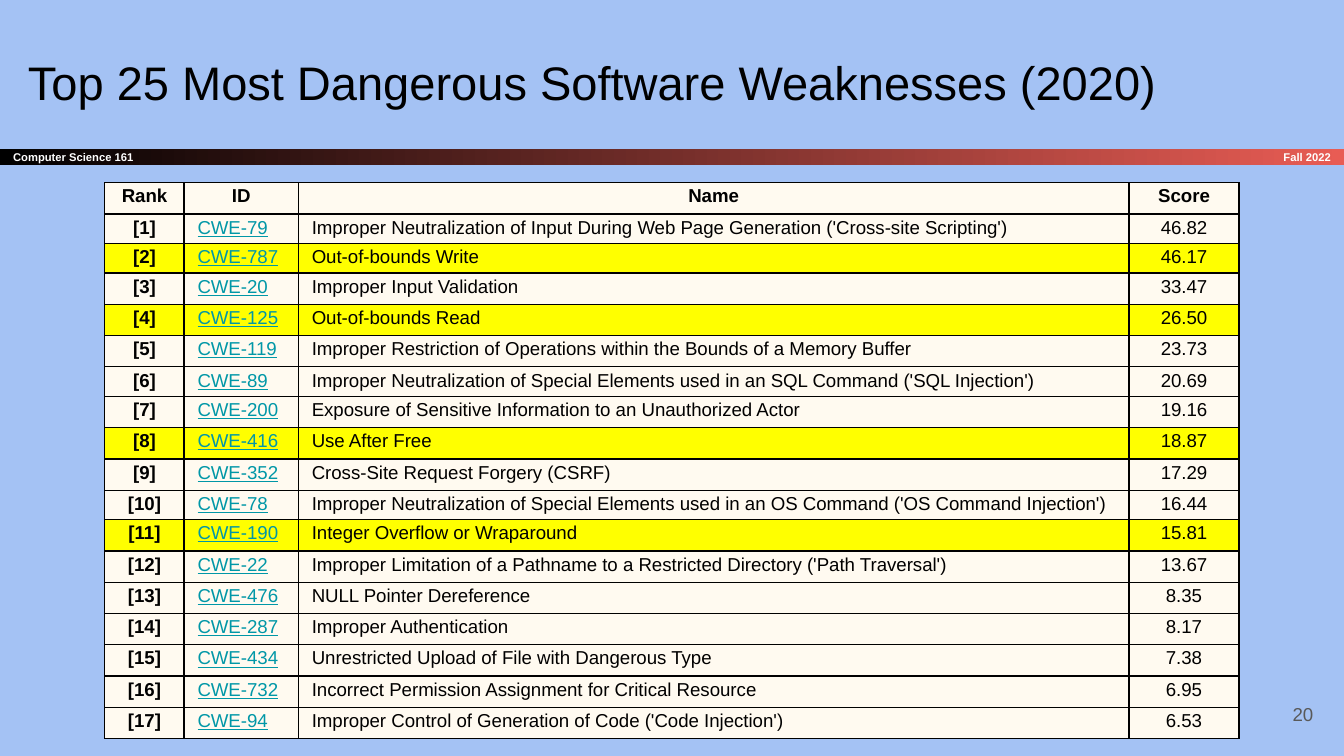
from lxml import etree
from pptx import Presentation
from pptx.dml.color import RGBColor
from pptx.enum.shapes import MSO_SHAPE
from pptx.enum.text import MSO_ANCHOR as ANCHOR, PP_ALIGN as ALIGN
from pptx.oxml.ns import qn
from pptx.util import Inches, Pt

FONT = "Arial"
COLORS = {
    "background": "A4C2F4", "text": "000000", "white": "FFFFFF",
    "number": "595959", "link": "0097A7", "border": "000000",
    "cell": "FFFAF0", "highlight": "FFFF00",
    "bar_start": "000000", "bar_end": "E85C54",
}
HEADERS = ("Rank", "ID", "Name", "Score")
WEAKNESSES = [
    ("CWE-79", "Improper Neutralization of Input During Web Page Generation ('Cross-site Scripting')", "46.82"),
    ("CWE-787", "Out-of-bounds Write", "46.17"),
    ("CWE-20", "Improper Input Validation", "33.47"),
    ("CWE-125", "Out-of-bounds Read", "26.50"),
    ("CWE-119", "Improper Restriction of Operations within the Bounds of a Memory Buffer", "23.73"),
    ("CWE-89", "Improper Neutralization of Special Elements used in an SQL Command ('SQL Injection')", "20.69"),
    ("CWE-200", "Exposure of Sensitive Information to an Unauthorized Actor", "19.16"),
    ("CWE-416", "Use After Free", "18.87"),
    ("CWE-352", "Cross-Site Request Forgery (CSRF)", "17.29"),
    ("CWE-78", "Improper Neutralization of Special Elements used in an OS Command ('OS Command Injection')", "16.44"),
    ("CWE-190", "Integer Overflow or Wraparound", "15.81"),
    ("CWE-22", "Improper Limitation of a Pathname to a Restricted Directory ('Path Traversal')", "13.67"),
    ("CWE-476", "NULL Pointer Dereference", "8.35"),
    ("CWE-287", "Improper Authentication", "8.17"),
    ("CWE-434", "Unrestricted Upload of File with Dangerous Type", "7.38"),
    ("CWE-732", "Incorrect Permission Assignment for Critical Resource", "6.95"),
    ("CWE-94", "Improper Control of Generation of Code ('Code Injection')", "6.53"),
]
MEMORY_SAFETY_RANKS = {2, 4, 8, 11}
SHORT_ROWS = {1, 2, 6, 10}
SHORT_ROW_HEIGHT = 0.22
COLUMN_WIDTHS = (0.59, 0.85, 6.18, 0.82)


def rgb(name):
    return RGBColor.from_string(COLORS[name])


def write(frame, text, size, color="text", bold=False, align=ALIGN.LEFT, underline=False):
    paragraph = frame.paragraphs[0]
    paragraph.text = text
    paragraph.alignment = align
    font = paragraph.font
    font.name, font.size, font.bold = FONT, Pt(size), bold
    font.color.rgb = rgb(color)
    if underline:
        font.underline = True


def set_insets(frame, inset=0.1):
    frame.word_wrap = True
    frame.margin_left = frame.margin_right = Inches(inset)
    frame.margin_top = frame.margin_bottom = Inches(inset)


def add_text(slide, box, text, size, anchor=ANCHOR.MIDDLE, **style):
    frame = slide.shapes.add_textbox(*map(Inches, box)).text_frame
    set_insets(frame)
    frame.vertical_anchor = anchor
    write(frame, text, size, **style)


def add_course_bar(slide, box):
    left, top, width, height = box
    bar = slide.shapes.add_shape(MSO_SHAPE.RECTANGLE, *map(Inches, box))
    bar.shadow.inherit = False
    bar.line.fill.background()
    bar.fill.gradient()
    bar.fill.gradient_angle = 0
    for stop, color, position in zip(bar.fill.gradient_stops, ("bar_start", "bar_end"), (0, 1)):
        stop.color.rgb = rgb(color)
        stop.position = position
    set_insets(bar.text_frame)
    bar.text_frame.vertical_anchor = ANCHOR.MIDDLE
    write(bar.text_frame, "Computer Science 161", 6, "white", bold=True)
    term_width = 1.66
    add_text(slide, (left + width - term_width, top, term_width, height),
             "Fall 2022", 6, color="white", bold=True, align=ALIGN.RIGHT)


def set_borders(cell):
    properties = cell._tc.get_or_add_tcPr()
    for index, side in enumerate(("lnL", "lnR", "lnT", "lnB")):
        line = etree.Element(qn(f"a:{side}"), w=str(Pt(0.75)))
        fill = etree.SubElement(line, qn("a:solidFill"))
        etree.SubElement(fill, qn("a:srgbClr"), val=COLORS["border"])
        properties.insert(index, line)


def style_cell(cell, text, fill, **style):
    cell.margin_left = cell.margin_right = Inches(0.1)
    cell.margin_top = cell.margin_bottom = Pt(1.8)
    cell.fill.solid()
    cell.fill.fore_color.rgb = rgb(fill)
    set_borders(cell)
    write(cell.text_frame, text, 10, **style)


def add_weakness_table(slide, box):
    height = box[3]
    row_count = len(WEAKNESSES) + 1
    table = slide.shapes.add_table(row_count, len(HEADERS), *map(Inches, box)).table
    for column, width in zip(table.columns, COLUMN_WIDTHS):
        column.width = Inches(width)
    # Regular rows share what the short rows leave over
    regular = (height - len(SHORT_ROWS) * SHORT_ROW_HEIGHT) / (row_count - len(SHORT_ROWS))
    for index, row in enumerate(table.rows):
        row.height = Inches(SHORT_ROW_HEIGHT if index in SHORT_ROWS else regular)

    for column, header in enumerate(HEADERS):
        style_cell(table.cell(0, column), header, "cell", bold=True, align=ALIGN.CENTER)
    column_styles = (
        {"bold": True, "align": ALIGN.CENTER},
        {"color": "link", "underline": True},
        {},
        {"align": ALIGN.CENTER},
    )
    for rank, weakness in enumerate(WEAKNESSES, start=1):
        fill = "highlight" if rank in MEMORY_SAFETY_RANKS else "cell"
        for column, (text, style) in enumerate(zip((f"[{rank}]", *weakness), column_styles)):
            style_cell(table.cell(rank, column), text, fill, **style)


def main():
    presentation = Presentation()
    # Widescreen, 16:9
    presentation.slide_width = Inches(10)
    presentation.slide_height = Inches(10) * 9 // 16
    slide = presentation.slides.add_slide(presentation.slide_layouts[6])
    slide.background.fill.solid()
    slide.background.fill.fore_color.rgb = rgb("background")

    # Heading and course bar
    add_course_bar(slide, (0, 1.11, 10, 0.12))
    add_text(slide, (0.11, 0.3, 9.32, 0.63),
             "Top 25 Most Dangerous Software Weaknesses (2020)", 25.2, anchor=ANCHOR.TOP)
    # Slide number
    add_text(slide, (9.27, 5.1, 0.6, 0.43), "20", 10, color="number", align=ALIGN.RIGHT)
    # Ranking
    add_weakness_table(slide, (0.78, 1.36, sum(COLUMN_WIDTHS), 4.14))
    presentation.save("out.pptx")


if __name__ == "__main__":
    main()
